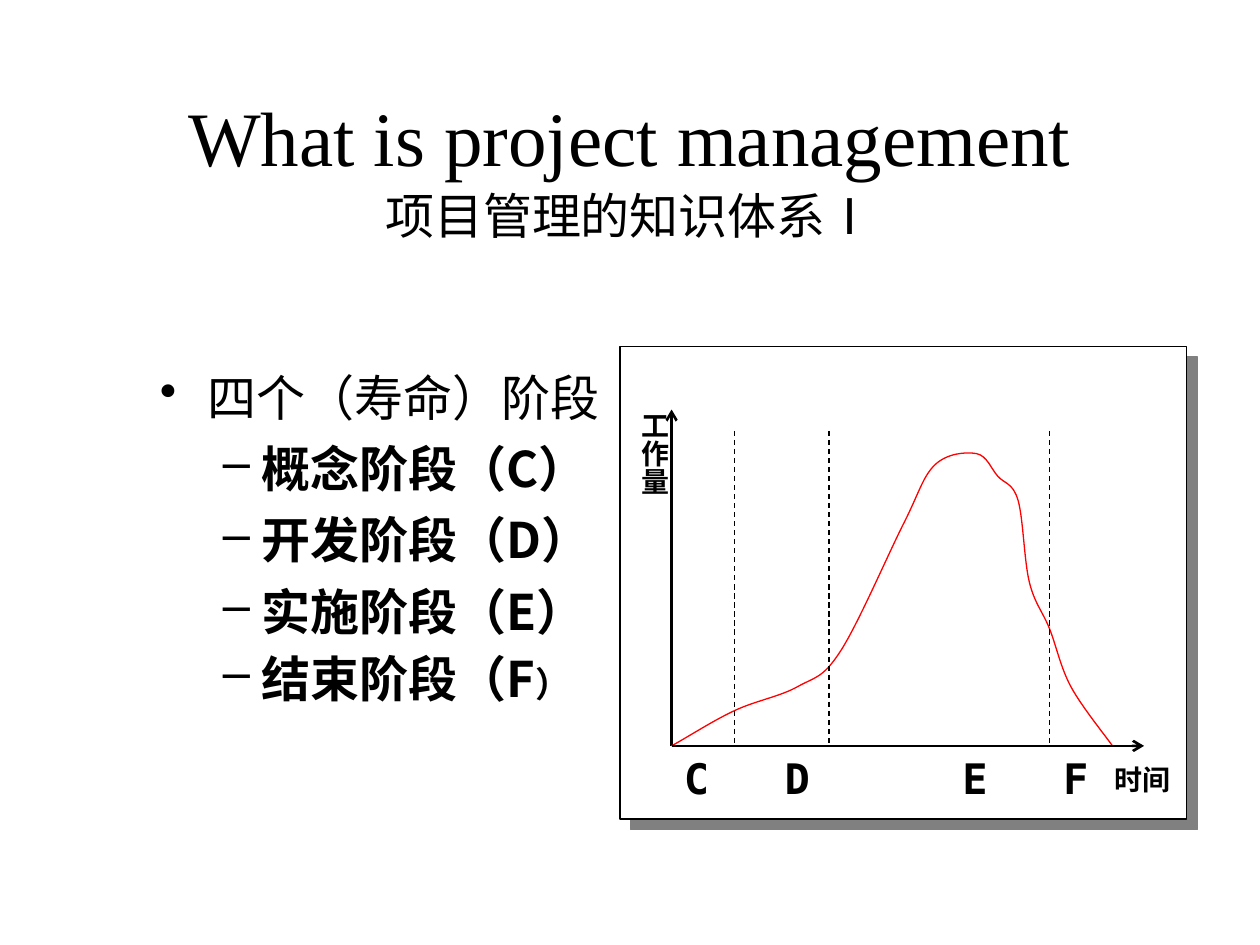
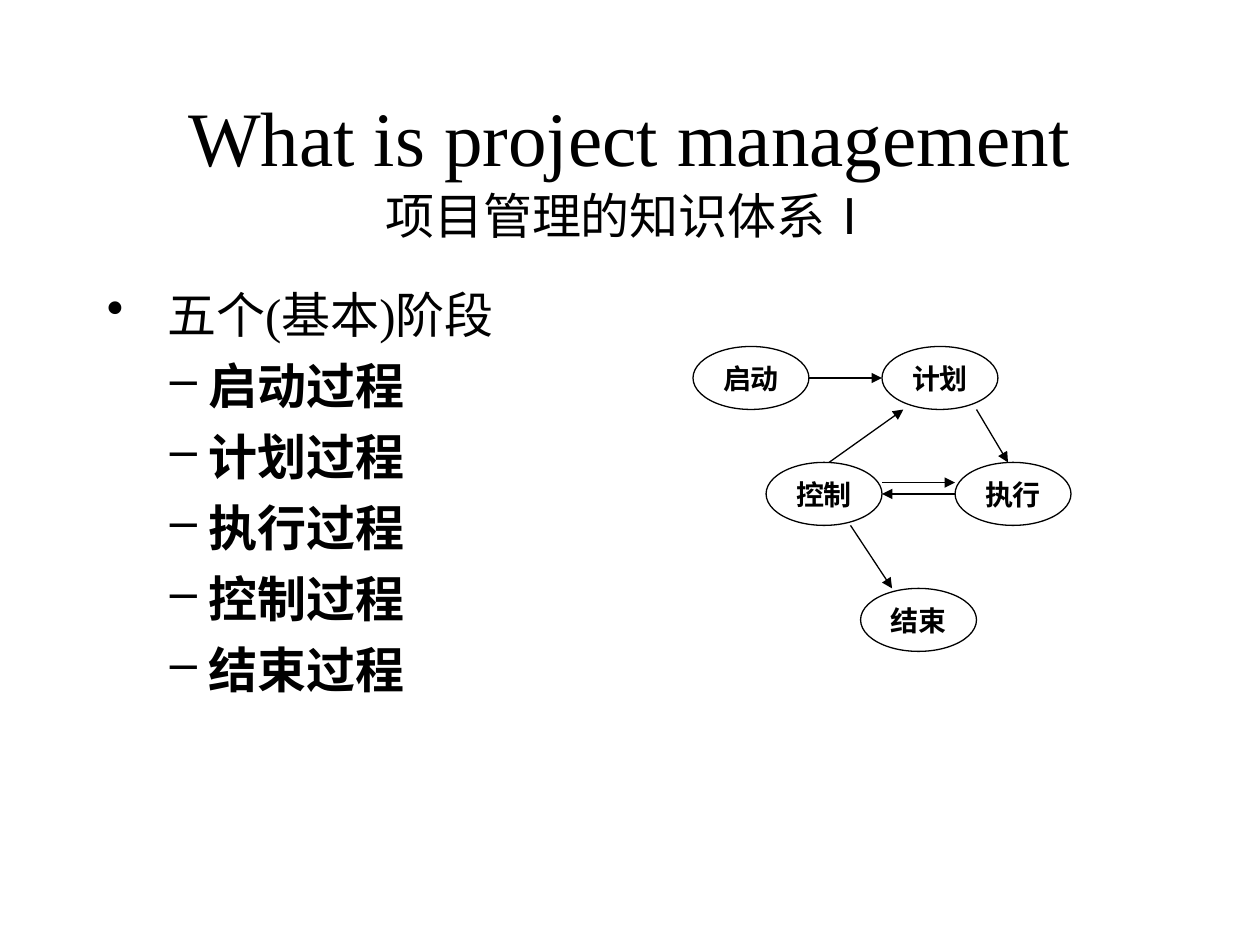
import dataclasses

import pptx
import pptx.dml.color
import pptx.enum.dml
import pptx.enum.shapes
import pptx.enum.text
import pptx.oxml
import pptx.oxml.ns
import pptx.util
from pptx.util import Inches

SHAPES = pptx.enum.shapes.MSO_SHAPE
ALIGN = pptx.enum.text.PP_ALIGN
ANCHOR = pptx.enum.text.MSO_ANCHOR
NAMESPACE = pptx.oxml.ns.nsdecls("a")


@dataclasses.dataclass(frozen=True)
class Theme:
    ink: str = "000000"
    paper: str = "FFFFFF"
    curve: str = "FF0000"
    shadow: str = "808080"
    serif: str = "Times New Roman"
    sans: str = "Noto Sans CJK SC"
    mono: str = "DejaVu Sans Mono"
    title: int = 44
    body: int = 28
    phase: int = 24
    small: int = 20
    label: int = 16
    thin: float = 0.75
    thick: float = 1.5
    title_pitch: float = 35.6
    body_pitch: float = 33.6


def element(markup):
    """Turn short markup such as 'a:ea typeface="X"' into an XML element."""
    return pptx.oxml.parse_xml(f"<{markup} {NAMESPACE}/>")


def color(value):
    return pptx.dml.color.RGBColor.from_string(value)


class SlideWriter:
    def __init__(self, deck, theme):
        self.deck, self.theme, self.slide = deck, theme, None

    def new_slide(self):
        self.slide = self.deck.slides.add_slide(self.deck.slide_layouts[6])

    # Text
    def span(self, para, text, size, font=None, bold=False):
        run = para.add_run()
        run.text = text
        run.font.size = pptx.util.Pt(size)
        run.font.bold = bold
        run.font.color.rgb = color(self.theme.ink)
        run.font.name = font or self.theme.serif
        run.font._element.append(element(f'a:ea typeface="{self.theme.sans}"'))

    def text_box(self, left, top, width, height, inset_top=0.05):
        box = self.slide.shapes.add_textbox(
            Inches(left), Inches(top), Inches(width), Inches(height))
        box.text_frame.word_wrap = True
        box.text_frame.margin_top = Inches(inset_top)
        return box

    def title(self, heading, subtitle):
        box = self.text_box(0.75, 0.67, 8.5, 1.25, inset_top=0.28)
        para = box.text_frame.paragraphs[0]
        para.alignment = ALIGN.CENTER
        para.line_spacing = pptx.util.Pt(self.theme.title_pitch)
        self.span(para, heading, self.theme.title)
        para.add_line_break()
        self.span(para, subtitle, self.theme.body)

    def bullet(self, para, mark, margin, hanging):
        props = para._p.get_or_add_pPr()
        props.set("marL", str(Inches(margin)))
        props.set("indent", str(-Inches(hanging)))
        tint = element("a:buClr")
        tint.append(element(f'a:srgbClr val="{self.theme.ink}"'))
        props.append(tint)
        props.append(element(f'a:buChar char="{mark}"'))
        para.line_spacing = pptx.util.Pt(self.theme.body_pitch)

    def outline(self, left, top, height, heading, items, heading_indent=0.38):
        """A heading bullet with bold dash items; an item is a list of (text, size)."""
        frame = self.text_box(left, top, 4.17, height, inset_top=0.09).text_frame
        para = frame.paragraphs[0]
        self.bullet(para, "•", heading_indent, heading_indent)
        self.span(para, heading, self.theme.body)
        for item in items:
            para = frame.add_paragraph()
            para.level = 1
            self.bullet(para, "–", 0.81, 0.31)
            para.space_before = pptx.util.Pt(7 if len(item) == 1 else 5)
            for text, size in item:
                self.span(para, text, size, self.theme.sans, bold=True)

    def label(self, left, top, width, height, text):
        box = self.text_box(left, top, width, height)
        self.span(box.text_frame.paragraphs[0], text, self.theme.label, bold=True)
        return box

    def vertical_label(self, left, top, width, height, text):
        frame = self.label(left, top, width, height, text).text_frame
        frame._txBody.bodyPr.set("vert", "eaVert")
        frame.margin_left = frame.margin_right = Inches(0.05)
        frame.margin_top = frame.margin_bottom = Inches(0.1)
        frame.paragraphs[0].alignment = ALIGN.CENTER

    def tabbed_letters(self, left, top, width, height, letters, stops):
        para = self.text_box(left, top, width, height).text_frame.paragraphs[0]
        tabs = element("a:tabLst")
        for stop in stops:
            tabs.append(element(f'a:tab pos="{Inches(stop)}" algn="l"'))
        para._p.get_or_add_pPr().append(tabs)
        self.span(para, "\t".join(letters), self.theme.phase, self.theme.mono, bold=True)

    # Shapes
    def style(self, shape, fill=None, line=None):
        shape.shadow.inherit = False
        if fill:
            shape.fill.solid()
            shape.fill.fore_color.rgb = color(fill)
        else:
            shape.fill.background()
        shape.line.color.rgb = color(line or self.theme.ink)
        shape.line.width = pptx.util.Pt(self.theme.thin)

    def panel(self, left, top, width, height):
        shape = self.slide.shapes.add_shape(
            SHAPES.RECTANGLE, Inches(left), Inches(top), Inches(width), Inches(height))
        self.style(shape, self.theme.paper)
        shadow = element(f'a:outerShdw dist="{pptx.util.Pt(8.5)}" dir="2700000" algn="ctr" rotWithShape="0"')
        shadow.append(element(f'a:srgbClr val="{self.theme.shadow}"'))
        shape._element.spPr.find(pptx.oxml.ns.qn("a:effectLst")).append(shadow)

    def node(self, left, top, text):
        shape = self.slide.shapes.add_shape(
            SHAPES.OVAL, Inches(left), Inches(top), Inches(0.92), Inches(0.5))
        self.style(shape)
        frame = shape.text_frame
        frame.word_wrap = False
        frame.vertical_anchor = ANCHOR.MIDDLE
        frame.paragraphs[0].alignment = ALIGN.CENTER
        self.span(frame.paragraphs[0], text, self.theme.label, bold=True)

    def line(self, start, end, width=None, arrow=None, dashed=False):
        link = self.slide.shapes.add_connector(
            pptx.enum.shapes.MSO_CONNECTOR.STRAIGHT,
            *(Inches(value) for value in (*start, *end)))
        link.line.color.rgb = color(self.theme.ink)
        link.line.width = pptx.util.Pt(width or self.theme.thin)
        if dashed:
            link.line.dash_style = pptx.enum.dml.MSO_LINE.DASH
        if arrow:
            link.line._get_or_add_ln().append(element(f'a:tailEnd type="{arrow}"'))
        link._element.spPr.append(element("a:effectLst"))

    def smooth_curve(self, knots):
        """Draw a Catmull-Rom curve through the knots as Bezier segments."""
        (x0, y0), (x1, y1) = knots[:2]
        padded = [(2 * x0 - x1, 2 * y0 - y1), *knots, knots[-1]]
        points = []
        for before, start, end, after in zip(padded, padded[1:], padded[2:], padded[3:]):
            points.append([s + (e - b) / 6 for b, s, e in zip(before, start, end)])
            points.append([e - (a - s) / 6 for s, e, a in zip(start, end, after)])
            points.append(end)
        builder = self.slide.shapes.build_freeform(Inches(x0), Inches(y0))
        builder.add_line_segments([(Inches(x), Inches(y)) for x, y in points], close=False)
        shape = builder.convert_to_shape()
        self.style(shape, self.theme.paper, self.theme.curve)
        # Each three straight steps become one Bezier segment
        steps = list(shape._element.iter(pptx.oxml.ns.qn("a:lnTo")))
        for first in range(0, len(steps), 3):
            segment = element("a:cubicBezTo")
            steps[first].addprevious(segment)
            for step in steps[first:first + 3]:
                segment.append(step[0])
                step.getparent().remove(step)


TITLE = ("What is project management", "项目管理的知识体系Ⅰ")


def life_cycle_slide(writer):
    theme = writer.theme
    writer.new_slide()
    writer.title(*TITLE)
    items = [[(f"{name}阶段（{letter}）", theme.body)]
             for name, letter in (("概念", "C"), ("开发", "D"), ("实施", "E"))]
    items.append([("结束阶段（F", theme.body), ("）", theme.small)])
    writer.outline(1.17, 2.83, 3.58, "四个（寿命）阶段", items)

    # Effort over time
    origin_x, origin_y = 5.33, 5.92
    writer.panel(4.92, 2.75, 4.5, 3.75)
    writer.line((origin_x, origin_y), (origin_x, 3.25), theme.thick, "arrow")
    writer.vertical_label(4.92, 3.17, 0.46, 1.33, "工作量")
    writer.label(8.75, 6, 0.75, 0.37, "时间")
    writer.smooth_curve([
        (origin_x, origin_y), (5.83, 5.64), (6.33, 5.45), (6.67, 5.17), (7.17, 4.16),
        (7.42, 3.69), (7.75, 3.6), (7.92, 3.78), (8.08, 3.97), (8.17, 4.62),
        (8.33, 4.99), (8.5, 5.45), (8.83, origin_y)])
    for boundary in (5.83, 6.58, 8.33):
        writer.line((boundary, 3.42), (boundary, origin_y), dashed=True)
    writer.tabbed_letters(origin_x, origin_y, 3.5, 0.5, "CDEF", (0.8, 2.21, 3.01))
    writer.line((origin_x, origin_y), (9.08, origin_y), theme.thick, "arrow")


def process_slide(writer):
    writer.new_slide()
    writer.title(*TITLE)
    names = ("启动", "计划", "执行", "控制", "结束")
    items = [[(f"{name}过程", writer.theme.body)] for name in names]
    writer.outline(0.75, 2.17, 4.5, "五个(基本)阶段", items, heading_indent=0.48)

    # Process flow
    places = ((5.5, 2.75), (7, 2.75), (7.58, 3.67), (6.08, 3.67), (6.83, 4.67))
    for name, (left, top) in zip(names, places):
        writer.node(left, top, name)
    for start, end in (
            ((6.42, 3), (7, 3)),
            ((7.75, 3.25), (8, 3.67)),
            ((7, 3.83), (7.58, 3.83)),
            ((7.58, 3.92), (7, 3.92)),
            ((6.75, 4.17), (7.08, 4.67)),
            ((6.58, 3.67), (7.17, 3.25))):
        writer.line(start, end, arrow="triangle")


def main():
    deck = pptx.Presentation()
    deck.slide_width, deck.slide_height = Inches(10), Inches(7.5)
    writer = SlideWriter(deck, Theme())
    life_cycle_slide(writer)
    process_slide(writer)
    deck.save("out.pptx")


if __name__ == "__main__":
    main()
